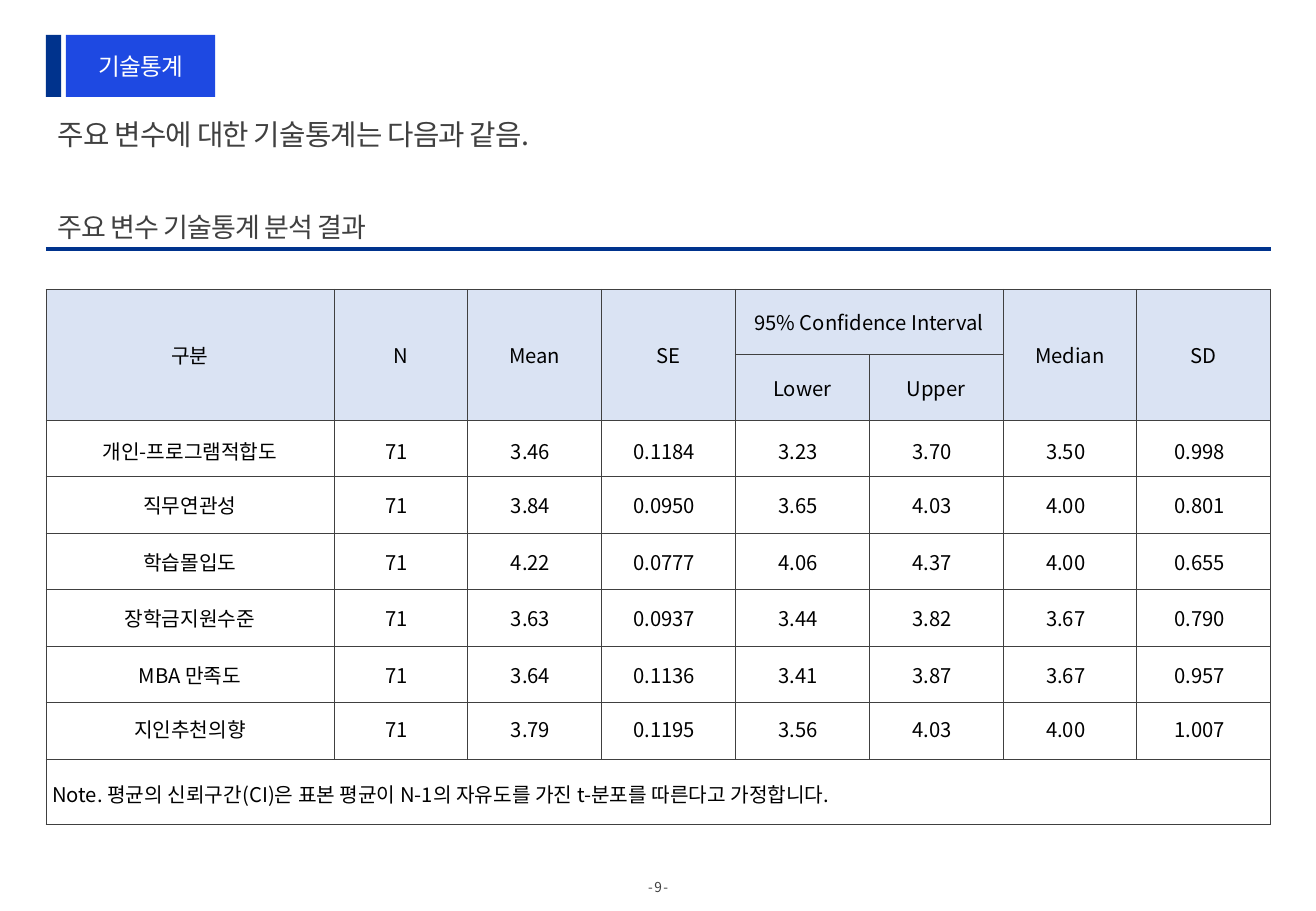
from dataclasses import dataclass

from lxml import etree
from pptx import Presentation
from pptx.dml.color import RGBColor
from pptx.enum.shapes import MSO_CONNECTOR, MSO_SHAPE
from pptx.enum.text import MSO_ANCHOR, MSO_AUTO_SIZE, PP_ALIGN
from pptx.oxml.ns import qn
from pptx.util import Cm, Pt

RECTANGLE = MSO_SHAPE.RECTANGLE
STRAIGHT = MSO_CONNECTOR.STRAIGHT
LEFT, CENTER = PP_ALIGN.LEFT, PP_ALIGN.CENTER
TOP, MIDDLE = MSO_ANCHOR.TOP, MSO_ANCHOR.MIDDLE
NO_AUTOFIT = MSO_AUTO_SIZE.NONE

FONT = "Noto Sans CJK KR"
NAVY, BLUE, PALE_BLUE = "00338D", "1E49E2", "DAE3F3"
GRAY, BLACK, WHITE = "404040", "000000", "FFFFFF"

MARGIN = 0.96
CONTENT_WIDTH = 25.6
LABEL_WIDTH = 6.02
HEADER_HEIGHT, BODY_HEIGHT, NOTE_HEIGHT = 1.37, 1.18, 1.38
DEFAULT_INSETS = (0.25, 0.13, 0.25, 0.13)


@dataclass
class Box:
    left: float
    top: float
    width: float
    height: float

    def lengths(self) -> tuple:
        return Cm(self.left), Cm(self.top), Cm(self.width), Cm(self.height)


@dataclass
class HeaderCell:
    text: str
    row: int
    column: int
    row_span: int = 1
    column_span: int = 1


HEADERS = [
    HeaderCell("구분", 0, 0, row_span=2),
    HeaderCell("N", 0, 1, row_span=2),
    HeaderCell("Mean", 0, 2, row_span=2),
    HeaderCell("SE", 0, 3, row_span=2),
    HeaderCell("95% Confidence Interval", 0, 4, column_span=2),
    HeaderCell("Lower", 1, 4),
    HeaderCell("Upper", 1, 5),
    HeaderCell("Median", 0, 6, row_span=2),
    HeaderCell("SD", 0, 7, row_span=2),
]
STATISTICS = [
    ("개인-프로그램적합도", "71", "3.46", "0.1184", "3.23", "3.70", "3.50", "0.998"),
    ("직무연관성", "71", "3.84", "0.0950", "3.65", "4.03", "4.00", "0.801"),
    ("학습몰입도", "71", "4.22", "0.0777", "4.06", "4.37", "4.00", "0.655"),
    ("장학금지원수준", "71", "3.63", "0.0937", "3.44", "3.82", "3.67", "0.790"),
    ("MBA 만족도", "71", "3.64", "0.1136", "3.41", "3.87", "3.67", "0.957"),
    ("지인추천의향", "71", "3.79", "0.1195", "3.56", "4.03", "4.00", "1.007"),
]
NOTE = "Note. 평균의 신뢰구간(CI)은 표본 평균이 N-1의 자유도를 가진 t-분포를 따른다고 가정합니다."


def color(value: str) -> RGBColor:
    return RGBColor.from_string(value)


def write(frame, text: str, *, size: float, fill: str = GRAY, align=LEFT,
          spacing: float = 0) -> None:
    paragraph = frame.paragraphs[0]
    paragraph.alignment = align
    run = paragraph.add_run()
    run.text = text
    run.font.size = Pt(size)
    run.font.color.rgb = color(fill)
    run.font.name = FONT
    properties = run._r.get_or_add_rPr()
    etree.SubElement(properties, qn("a:ea"), typeface=FONT)
    if spacing:
        properties.set("spc", str(round(spacing * 100)))


def set_insets(target, insets: tuple) -> None:
    (target.margin_left, target.margin_top,
     target.margin_right, target.margin_bottom) = map(Cm, insets)


def fill_frame(shape, text: str, *, anchor=TOP, insets: tuple = DEFAULT_INSETS,
               **text_format) -> None:
    frame = shape.text_frame
    frame.word_wrap = True
    frame.auto_size = NO_AUTOFIT
    frame.vertical_anchor = anchor
    set_insets(frame, insets)
    write(frame, text, spacing=-0.5, **text_format)


def add_block(slide, box: Box, fill: str):
    shape = slide.shapes.add_shape(RECTANGLE, *box.lengths())
    shape.shadow.inherit = False
    shape.fill.solid()
    shape.fill.fore_color.rgb = color(fill)
    shape.line.fill.background()
    return shape


def add_rule(slide, top: float) -> None:
    line = slide.shapes.add_connector(
        STRAIGHT, Cm(MARGIN), Cm(top), Cm(MARGIN + CONTENT_WIDTH), Cm(top))
    line.line.color.rgb = color(NAVY)
    line.line.width = Pt(2.25)
    etree.SubElement(line._element.spPr, qn("a:effectLst"))


def style_cell(cell, fill: str = "") -> None:
    if fill:
        cell.fill.solid()
        cell.fill.fore_color.rgb = color(fill)
    else:
        cell.fill.background()
    properties = cell._tc.get_or_add_tcPr()
    for index, side in enumerate(("a:lnL", "a:lnR", "a:lnT", "a:lnB")):
        border = etree.Element(qn(side), w=str(Pt(0.5)))
        solid = etree.SubElement(border, qn("a:solidFill"))
        etree.SubElement(solid, qn("a:srgbClr"), val=GRAY)
        properties.insert(index, border)


def fill_cell(cell, text: str, *, insets: tuple, align=CENTER) -> None:
    cell.vertical_anchor = MIDDLE
    set_insets(cell, insets)
    write(cell.text_frame, text, size=12, fill=BLACK, align=align)


def add_statistics_table(slide, top: float) -> None:
    heights = [HEADER_HEIGHT] * 2 + [BODY_HEIGHT] * len(STATISTICS) + [NOTE_HEIGHT]
    column_count = len(STATISTICS[0])
    box = Box(MARGIN, top, CONTENT_WIDTH, sum(heights))
    table = slide.shapes.add_table(len(heights), column_count, *box.lengths()).table
    table.first_row = table.horz_banding = False
    value_width = (CONTENT_WIDTH - LABEL_WIDTH) / (column_count - 1)
    for index, column in enumerate(table.columns):
        column.width = Cm(value_width if index else LABEL_WIDTH)
    for row_index, (row, height) in enumerate(zip(table.rows, heights)):
        row.height = Cm(height)
        for cell in row.cells:
            style_cell(cell, PALE_BLUE if row_index < 2 else "")

    # Header rows
    for header in HEADERS:
        cell = table.cell(header.row, header.column)
        if header.row_span > 1 or header.column_span > 1:
            cell.merge(table.cell(header.row + header.row_span - 1,
                                  header.column + header.column_span - 1))
        fill_cell(cell, header.text, insets=(0.13, 0.05, 0.13, 0.05))

    # Variables, with extra room at the first and last row
    last = len(STATISTICS) - 1
    for index, values in enumerate(STATISTICS):
        inset_top = 0.13 if index == 0 else 0.05
        inset_bottom = 0.13 if index == last else 0.05
        for column, value in enumerate(values):
            inset_right = 0.3 if column else 0.13
            fill_cell(table.cell(index + 2, column), value,
                      insets=(0.13, inset_top, inset_right, inset_bottom))

    # Note row
    note = table.cell(len(heights) - 1, 0)
    note.merge(table.cell(len(heights) - 1, column_count - 1))
    fill_cell(note, NOTE, insets=(0.13, 0.1, 0.13, 0.03), align=LEFT)


def main() -> None:
    presentation = Presentation()
    presentation.slide_width, presentation.slide_height = Cm(27.51), Cm(19.05)
    slide = presentation.slides.add_slide(presentation.slide_layouts[5])

    # Title sentence
    title = slide.shapes.title
    title.left, title.top, title.width, title.height = Box(
        MARGIN, 2.31, CONTENT_WIDTH, 1.6).lengths()
    fill_frame(title, "주요 변수에 대한 기술통계는 다음과 같음.", size=17)

    # Section tag
    add_block(slide, Box(MARGIN, 0.73, 0.32, 1.3), NAVY)
    tag = add_block(slide, Box(1.38, 0.73, 3.12, 1.3), BLUE)
    fill_frame(tag, "기술통계", size=14, fill=WHITE, align=CENTER,
               anchor=MIDDLE, insets=(0, 0, 0, 0))

    # Table heading
    heading = slide.shapes.add_textbox(*Box(MARGIN, 4.27, 12.4, 0.94).lengths())
    fill_frame(heading, "주요 변수 기술통계 분석 결과", size=16)
    add_rule(slide, 5.21)

    add_statistics_table(slide, 6.05)

    # Page number
    page_number = slide.shapes.add_textbox(*Box(13.15, 18.03, 1.22, 1.02).lengths())
    fill_frame(page_number, "- 9 -", size=8.1, align=CENTER, anchor=MIDDLE)

    presentation.save("out.pptx")


if __name__ == "__main__":
    main()
